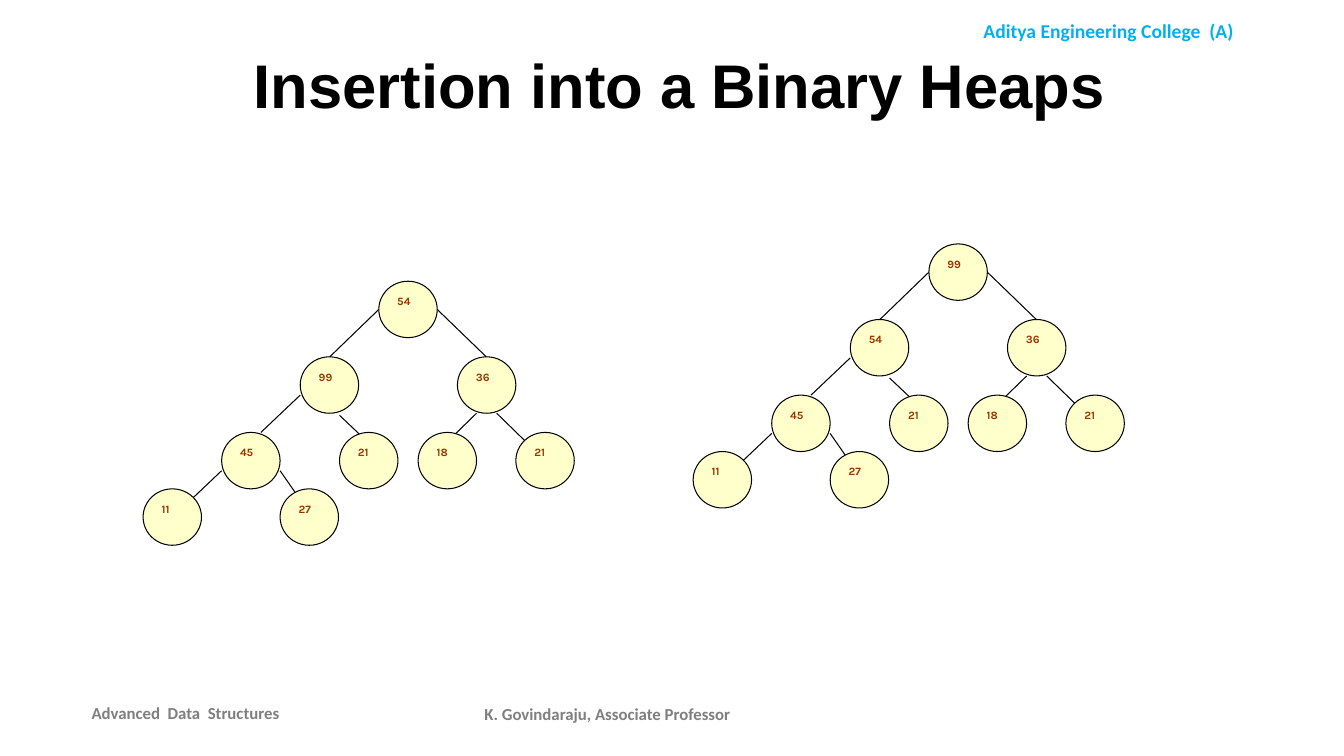
from pptx import Presentation
from pptx.dml.color import RGBColor
from pptx.enum.shapes import MSO_CONNECTOR, MSO_SHAPE
from pptx.enum.text import MSO_ANCHOR, PP_ALIGN
from pptx.oxml.ns import qn
from pptx.util import Inches, Pt
from lxml import etree

OVAL = MSO_SHAPE.OVAL
LINE = MSO_CONNECTOR.STRAIGHT
TOP, MIDDLE = MSO_ANCHOR.TOP, MSO_ANCHOR.MIDDLE
LEFT, CENTER, JUSTIFY = PP_ALIGN.LEFT, PP_ALIGN.CENTER, PP_ALIGN.JUSTIFY

# Node corners in level order, measured from the root's corner
SPOTS = [(0, 0), (-0.78, 0.75), (0.78, 0.75),
         (-1.56, 1.5), (-0.39, 1.5), (0.39, 1.5), (1.36, 1.5),
         (-2.34, 2.06), (-0.98, 2.06)]
# Branches from parent to child, measured from the same corner
EDGES = [(0, 0.28, -0.59, 0.85), (0.58, 0.28, 1.17, 0.85),
         (-0.78, 1.13, -1.17, 1.5), (-0.39, 1.33, 0, 1.7),
         (0.97, 1.31, 0.58, 1.69), (1.17, 1.31, 1.56, 1.69),
         (-1.56, 1.88, -1.95, 2.25), (-0.98, 1.88, -0.59, 2.44)]


def color(code):
    return RGBColor.from_string(code)


class Deck:
    ink, fill, label = "000000", "FFFFCC", "993300"
    width, height = 0.58, 0.56

    def __init__(self, slide):
        self.shapes = slide.shapes

    def style(self, shape, text, size, face, tint, align=LEFT, anchor=TOP):
        frame = shape.text_frame
        frame.word_wrap = True
        frame.vertical_anchor = anchor
        para = frame.paragraphs[0]
        para.text = text
        para.alignment = align
        para.font.size = Pt(size)
        para.font.name = face
        para.font.bold = True
        para.font.color.rgb = color(tint)

    def text(self, box, *look, **place):
        shape = self.shapes.add_textbox(*map(Inches, box))
        self.style(shape, *look, **place)

    def edge(self, *ends):
        line = self.shapes.add_connector(LINE, *map(Inches, ends))
        line.line.color.rgb = color(self.ink)
        line.line.width = Pt(0.75)
        etree.SubElement(line._element.spPr, qn("a:effectLst"))

    def node(self, x, y, key):
        box = (x, y, self.width, self.height)
        shape = self.shapes.add_shape(OVAL, *map(Inches, box))
        shape.shadow.inherit = False
        shape.fill.solid()
        shape.fill.fore_color.rgb = color(self.fill)
        shape.line.color.rgb = color(self.ink)
        shape.line.width = Pt(0.75)
        self.style(shape, str(key), 8, "Karla", self.label)

    def heap(self, x, y, keys):
        for x1, y1, x2, y2 in EDGES:
            self.edge(x + x1, y + y1, x + x2, y + y2)
        for (dx, dy), key in zip(SPOTS, keys):
            self.node(x + dx, y + dy, key)


def main():
    prs = Presentation()
    prs.slide_width, prs.slide_height = Inches(13.34), Inches(7.5)
    deck = Deck(prs.slides.add_slide(prs.slide_layouts[6]))

    # Header and footer
    deck.text((9.09, 0.14, 3.83, 0.34), "Aditya Engineering College  (A)",
              14, "Calibri", "00B0F0", align=CENTER)
    deck.text((0.81, 6.87, 2.11, 0.4), "Advanced  Data  Structures",
              12, "Calibri", "7F7F7F", align=JUSTIFY, anchor=MIDDLE)
    deck.text((4.53, 6.88, 3, 0.4), "K. Govindaraju, Associate Professor",
              12, "Calibri", "7F7F7F", align=CENTER, anchor=MIDDLE)

    # Title
    deck.text((2.42, 0.42, 10.08, 0.84), "Insertion into a Binary Heaps",
              44, "Arial", "000000")

    # Heap before and after the root swap
    deck.heap(3.76, 2.79, [54, 99, 36, 45, 21, 18, 21, 11, 27])
    deck.heap(9.22, 2.42, [99, 54, 36, 45, 21, 18, 21, 11, 27])

    prs.save("out.pptx")


if __name__ == "__main__":
    main()
